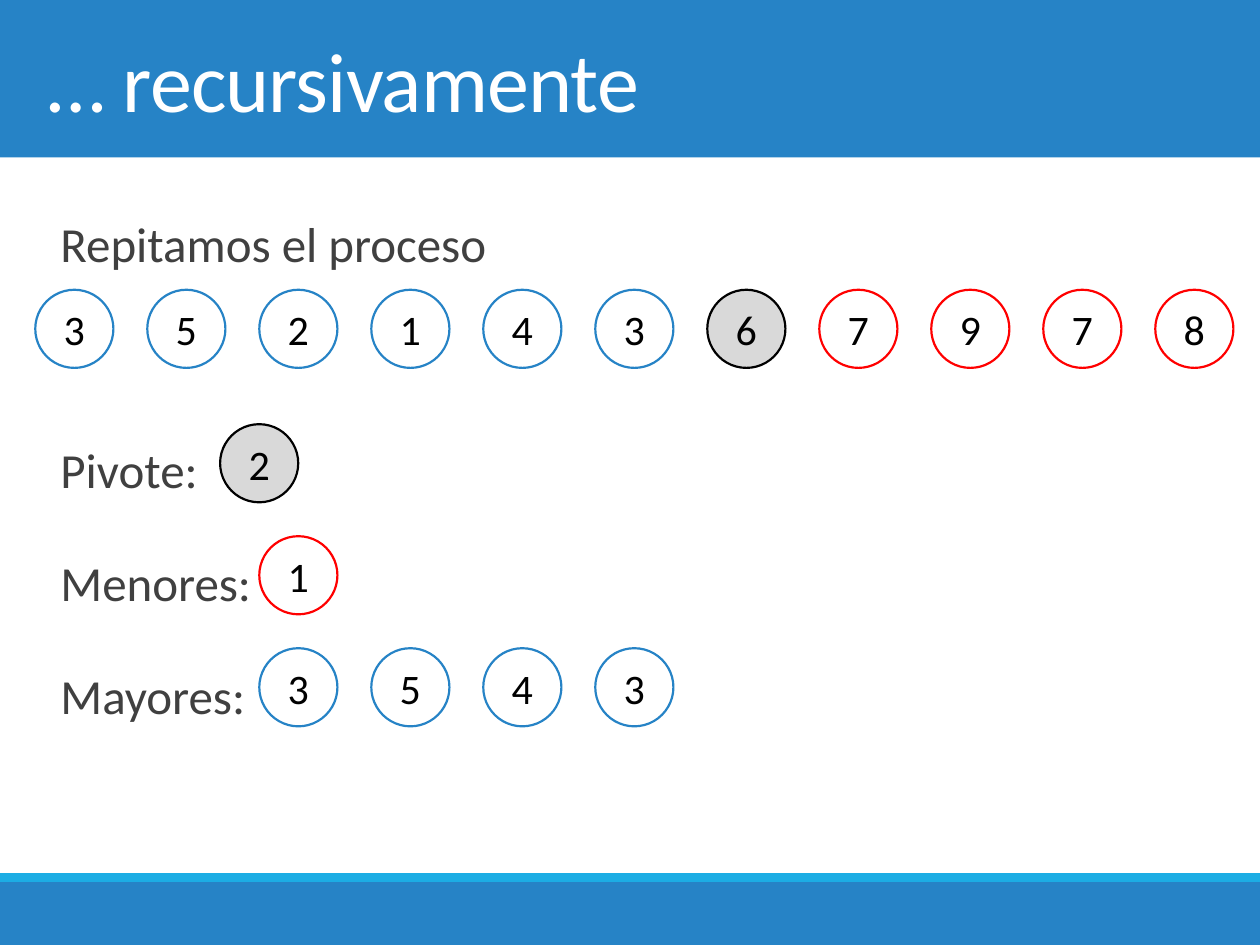
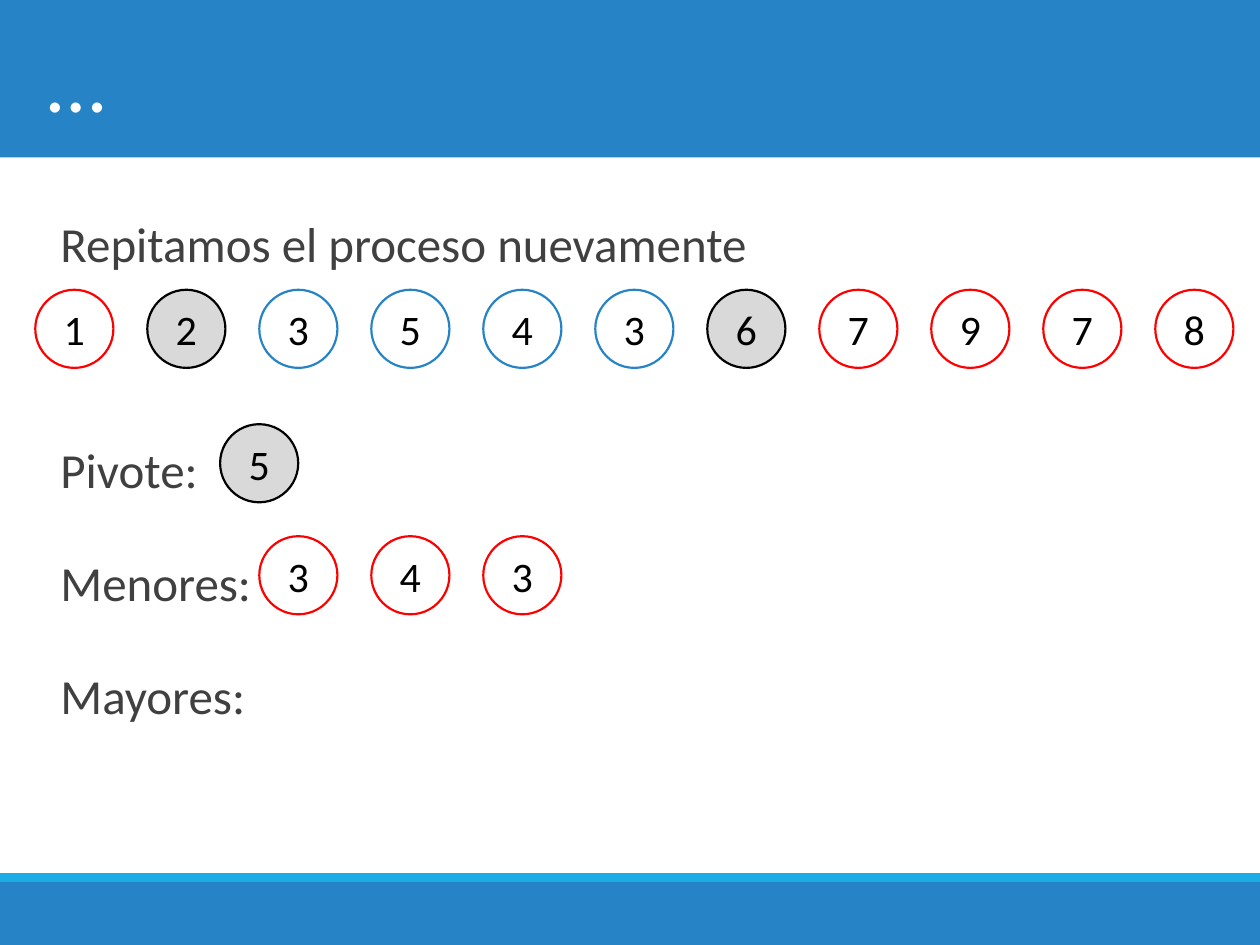
from pptx import Presentation
from pptx import util as u
from pptx.dml.color import RGBColor
from pptx.enum import shapes, text

WIDTH, HEIGHT = 10, 7.5
CELL = 8 / 9  # step of the circle grid, across and down
GRID_LEFT, GRID_TOP = 0.28, 2.3
DIAMETER = 0.62
LABEL_ROWS = {"Pivote:": 1.2, "Menores:": 2.2, "Mayores:": 3.2}
PIVOT_COLUMN, GROUP_COLUMN = 1.65, 2

BLUE, CYAN, RED = "2683C6", "1CADE4", "FF0000"
WHITE, BLACK, GREY, DARK = "FFFFFF", "000000", "D9D9D9", "404040"
# code: (fill, line)
CIRCLE_COLOURS = {"b": (WHITE, BLUE), "r": (WHITE, RED), "p": (GREY, BLACK)}


def colour(hex_string):
    return RGBColor.from_string(hex_string)


def apply(target, values):
    for name, value in values.items():
        setattr(target, name, value)


class Deck:
    font = "Calibri"

    def __init__(self):
        self.presentation = Presentation()
        apply(self.presentation, {"slide_width": u.Inches(WIDTH),
                                  "slide_height": u.Inches(HEIGHT)})
        self.slide = None

    def new_slide(self, title):
        """Start a slide with the shared bands and a title."""
        self.slide = self.presentation.slides.add_slide(
            self.presentation.slide_layouts[6])
        self.band(0, 1.25, BLUE)
        self.band(7, 0.5, BLUE)
        self.band(6.93, 0.07, CYAN)
        self.title(title)

    def shape(self, kind, left, top, width, height, fill):
        shape = self.slide.shapes.add_shape(
            kind, *map(u.Inches, (left, top, width, height)))
        shape.shadow.inherit = False
        shape.fill.solid()
        shape.fill.fore_color.rgb = colour(fill)
        return shape

    def band(self, top, height, fill):
        band = self.shape(shapes.MSO_SHAPE.RECTANGLE, 0, top, WIDTH, height, fill)
        band.line.fill.background()

    def text_frame(self, top, height, **values):
        box = self.slide.shapes.add_textbox(
            *map(u.Inches, (GRID_LEFT, top, 9.45, height)))
        apply(box.text_frame, {"word_wrap": True, **values})
        return box.text_frame

    def add_words(self, paragraph, words, size, ink, **values):
        run = paragraph.add_run()
        run.text = words
        apply(run.font, {"name": self.font, "size": u.Pt(size)})
        run.font.color.rgb = colour(ink)
        apply(paragraph, values)
        return run

    def title(self, words):
        frame = self.text_frame(0, 1.25, vertical_anchor=text.MSO_ANCHOR.MIDDLE)
        run = self.add_words(frame.paragraphs[0], words, 48, WHITE)
        run._r.get_or_add_rPr().set("spc", "-50")

    def body(self, heading):
        """Add the heading and, one line lower, the row labels."""
        frame = self.text_frame(1.41, 5.36, margin_left=u.Inches(0.2))
        lines = [(heading, 12), *zip(LABEL_ROWS, (77, 12, 12))]
        for index, (words, before) in enumerate(lines):
            paragraph = frame.add_paragraph() if index else frame.paragraphs[0]
            self.add_words(paragraph, words, 28, DARK, line_spacing=1.5,
                           space_before=u.Pt(before), space_after=u.Pt(2))

    def circles(self, digits, codes, column, row):
        """Draw one circle per digit, each coloured by its code."""
        for index, (digit, code) in enumerate(zip(digits, codes)):
            fill, line = CIRCLE_COLOURS[code]
            circle = self.shape(shapes.MSO_SHAPE.OVAL,
                                GRID_LEFT + (column + index) * CELL,
                                GRID_TOP + row * CELL, DIAMETER, DIAMETER, fill)
            circle.line.color.rgb = colour(line)
            circle.line.width = u.Pt(1.25)
            frame = circle.text_frame
            apply(frame, {"margin_left": 0, "margin_right": 0,
                          "vertical_anchor": text.MSO_ANCHOR.MIDDLE})
            self.add_words(frame.paragraphs[0], digit, 24, BLACK,
                           alignment=text.PP_ALIGN.CENTER)

    def quicksort_step(self, title, heading, numbers, codes, pivot, smaller, larger):
        self.new_slide(title)
        self.body(heading)
        self.circles(numbers, codes, 0, 0)
        self.circles(pivot, "p", PIVOT_COLUMN, LABEL_ROWS["Pivote:"])
        self.circles(smaller, "r" * len(smaller), GROUP_COLUMN, LABEL_ROWS["Menores:"])
        self.circles(larger, "b" * len(larger), GROUP_COLUMN, LABEL_ROWS["Mayores:"])


def main():
    deck = Deck()
    deck.quicksort_step("… recursivamente", "Repitamos el proceso",
                        "35214367978", "bbbbbbprrrr",
                        pivot="2", smaller="1", larger="3543")
    deck.quicksort_step("…", "Repitamos el proceso nuevamente",
                        "12354367978", "rpbbbbprrrr",
                        pivot="5", smaller="343", larger="")
    deck.presentation.save("out.pptx")


if __name__ == "__main__":
    main()
